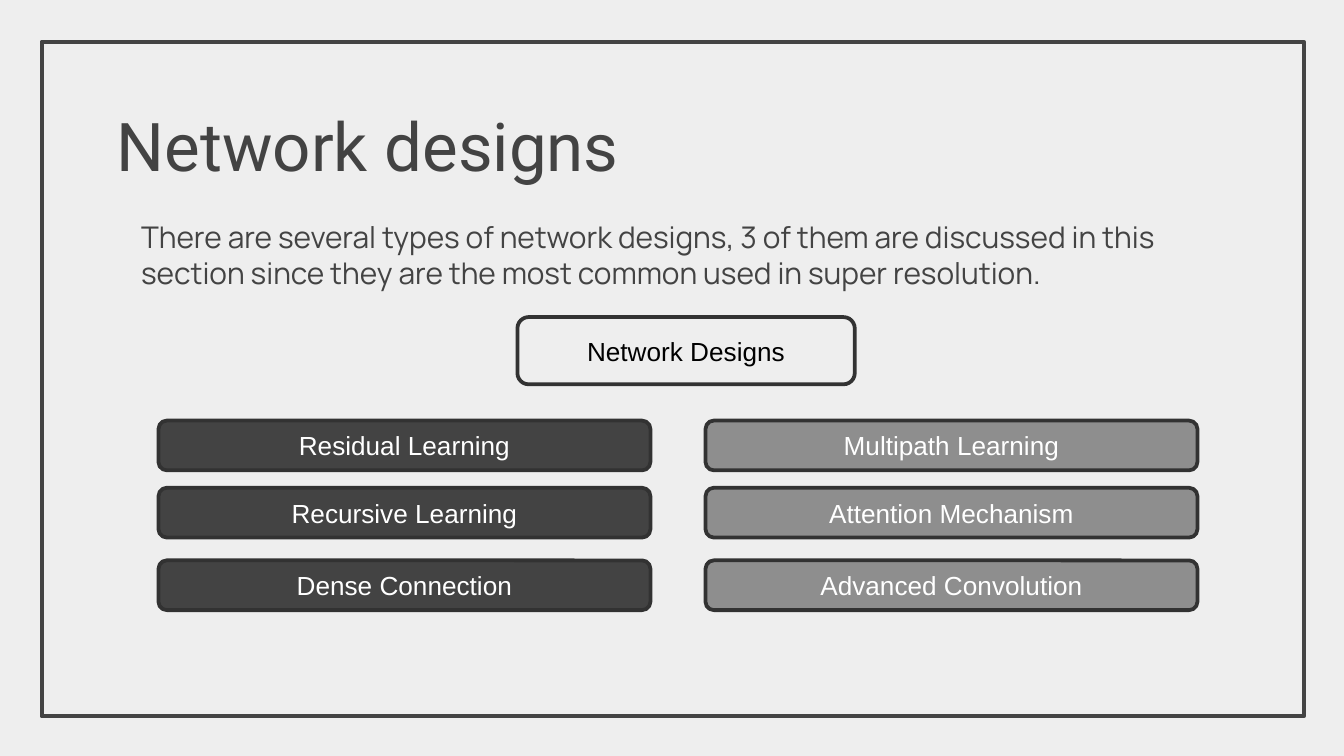
from pptx import Presentation
from pptx.dml.color import RGBColor
from pptx.enum.shapes import MSO_SHAPE
from pptx.enum.text import MSO_ANCHOR, MSO_AUTO_SIZE, PP_ALIGN
from pptx.oxml.ns import qn
from pptx.util import Inches, Pt

RECT, ROUND = MSO_SHAPE.RECTANGLE, MSO_SHAPE.ROUNDED_RECTANGLE
LEFT, CENTER = PP_ALIGN.LEFT, PP_ALIGN.CENTER
TOP, MIDDLE = MSO_ANCHOR.TOP, MSO_ANCHOR.MIDDLE
HEX = {"back": "EEEEEE", "dark": "434343", "edge": "323232",
       "gray": "8E8E8E", "white": "FFFFFF", "black": "000000"}
COLOR = {name: RGBColor.from_string(code) for name, code in HEX.items()}


def write(shape, text, size, face, color, align, anchor):
    frame = shape.text_frame
    frame.text = text
    frame.word_wrap = True
    frame.auto_size = MSO_AUTO_SIZE.NONE
    frame.vertical_anchor = anchor
    frame.margin_left = frame.margin_right = Inches(0.1)
    frame.margin_top = frame.margin_bottom = Inches(0.1)
    para = frame.paragraphs[0]
    para.alignment = align
    para.space_before = Pt(0)
    para.font.size, para.font.name = Pt(size), face
    para.font.color.rgb = COLOR[color]
    return para


def draw(kind, box, fill, edge, width):
    shape = slide.shapes.add_shape(kind, *map(Inches, box))
    shape.shadow.inherit = False
    shape.fill.solid()
    shape.fill.fore_color.rgb = COLOR[fill]
    shape.line.color.rgb = COLOR[edge]
    shape.line.width = Pt(width)
    return shape


deck = Presentation()
deck.slide_width = Inches(10)
deck.slide_height = deck.slide_width * 9 // 16
slide = deck.slides.add_slide(deck.slide_layouts[1])
slide.background.fill.solid()
slide.background.fill.fore_color.rgb = COLOR["back"]

# Frame, sent behind the placeholders
frame = draw(RECT, (0.31, 0.31, 9.39, 5.02), "back", "dark", 2.25)
slide.shapes._spTree.insert(2, frame._element)

# Title and introduction
title, body = slide.placeholders
title.left, title.top, title.width, title.height = map(
    Inches, (0.77, 0.67, 7.91, 0.81))
write(title, "Network designs", 36, "Roboto", "dark", LEFT, MIDDLE)

body.left, body.top, body.width, body.height = map(
    Inches, (0.78, 1.53, 8.13, 3.31))
intro = write(
    body, "There are several types of network designs, 3 of them are discussed "
    "in this section since they are the most common used in super resolution.",
    16, "Manrope", "dark", LEFT, TOP)
props = intro._p.get_or_add_pPr()
props.set("marL", str(Inches(0.17)))
props.set("indent", "0")
props.find(qn("a:defRPr")).addprevious(props.makeelement(qn("a:buNone"), {}))

# Root of the tree and its two columns of designs
root = draw(ROUND, (3.85, 2.36, 2.51, 0.5), "back", "edge", 2)
write(root, "Network Designs", 14, "Arial", "black", CENTER, MIDDLE)

rows = (3.13, 3.63, 4.17)
columns = (
    (1.18, "dark", ("Residual Learning", "Recursive Learning", "Dense Connection")),
    (5.25, "gray", ("Multipath Learning", "Attention Mechanism", "Advanced Convolution")),
)
for left, fill, names in columns:
    for top, name in zip(rows, names):
        card = draw(ROUND, (left, top, 3.66, 0.37), fill, "edge", 2)
        write(card, name, 14, "Arial", "white", CENTER, MIDDLE)

deck.save("out.pptx")
